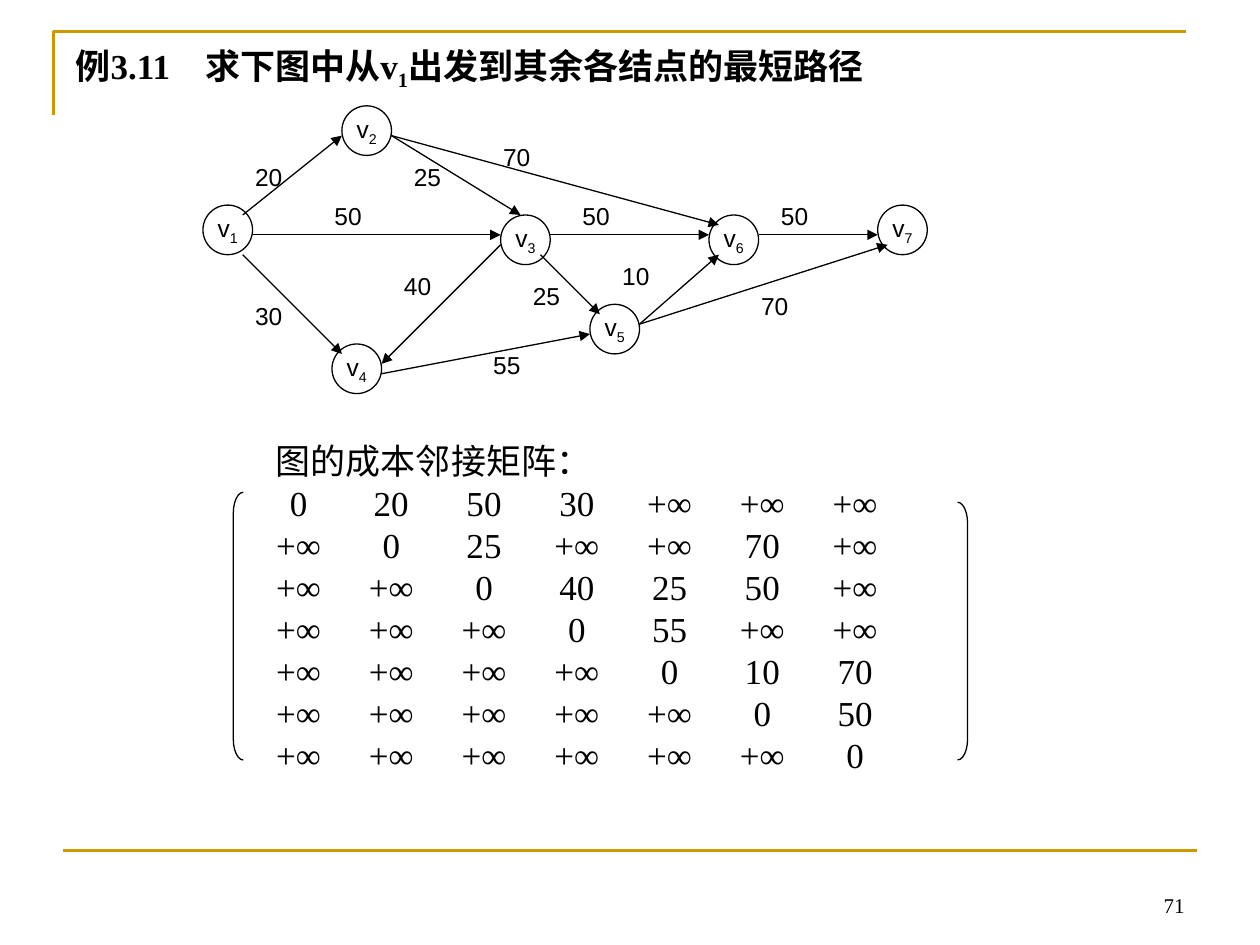
import pptx
import pptx.util
import pptx.dml.color
import pptx.enum.shapes
import pptx.enum.text
import pptx.oxml.ns
from lxml import etree

Pt = pptx.util.Pt
SHAPE = pptx.enum.shapes.MSO_SHAPE
ALIGN = pptx.enum.text.PP_ALIGN
ANCHOR = pptx.enum.text.MSO_ANCHOR
qn = pptx.oxml.ns.qn

COLORS = {"ink": "000000", "rule": "CC9900"}
SERIF, SANS = "Times New Roman", "Arial"

# The graph is laid out on a grid of square cells.
CELL, GRAPH_LEFT, GRAPH_TOP = 5.67, 116, 60.5
NODE_CELLS, LABEL_CELLS = 5, 6

NODES = {"1": (0, 10), "2": (14, 0), "3": (30, 11), "4": (13, 24),
         "5": (39, 20), "6": (51, 11), "7": (68, 10)}

# start, end, weight, top left of the weight's label
EDGES = [
    ((4, 11), (14, 3), "20", (4, 5)),
    ((4, 15), (14, 25), "30", (4, 19)),
    ((5, 13), (30, 13), "50", (12, 9)),
    ((19, 3), (32, 11), "25", (20, 5)),
    ((19, 3), (52, 12), "70", (29, 3)),
    ((30, 14), (18, 26), "40", (19, 16)),
    ((34, 15), (40, 21), "25", (32, 17)),
    ((35, 13), (51, 13), "50", (37, 9)),
    ((18, 27), (39, 23), "55", (28, 24)),
    ((44, 22), (52, 15), "10", (41, 15)),
    ((44, 22), (69, 14), "70", (55, 18)),
    ((56, 13), (68, 13), "50", (57, 9)),
]

INF = "+∞"
MATRIX = [
    ["0", "20", "50", "30", INF, INF, INF],
    [INF, "0", "25", INF, INF, "70", INF],
    [INF, INF, "0", "40", "25", "50", INF],
    [INF, INF, INF, "0", "55", INF, INF],
    [INF, INF, INF, INF, "0", "10", "70"],
    [INF, INF, INF, INF, INF, "0", "50"],
    [INF, INF, INF, INF, INF, INF, "0"],
]


def rgb(name):
    return pptx.dml.color.RGBColor.from_string(COLORS[name])


def grid_point(cell):
    """Slide position in points of a (column, row) of the graph grid."""
    return Pt(GRAPH_LEFT + cell[0] * CELL), Pt(GRAPH_TOP + cell[1] * CELL)


def add_run(p, text, size, font, bold=False, subscript=False):
    r = p.add_run()
    r.text = text
    r.font.size = Pt(size)
    r.font.name = font
    r.font.bold = bold
    r.font.color.rgb = rgb("ink")
    if subscript:
        r.font._element.set("baseline", "-25000")


def set_tabs(p, stops, align):
    tabs = etree.SubElement(p._p.get_or_add_pPr(), qn("a:tabLst"))
    for stop in stops:
        etree.SubElement(tabs, qn("a:tab"), pos=str(Pt(stop)), algn=align)


def style_line(sp, color, width):
    sp.line.color.rgb = rgb(color)
    sp.line.width = Pt(width)


def add_line(shapes, start, end, color, width, arrow=False):
    sp = shapes.add_connector(pptx.enum.shapes.MSO_CONNECTOR.STRAIGHT, *start, *end)
    style_line(sp, color, width)
    if arrow:
        etree.SubElement(sp.line._get_or_add_ln(), qn("a:tailEnd"), type="triangle")
    etree.SubElement(sp._element.spPr, qn("a:effectLst"))


def add_textbox(shapes, left, top, width, height):
    tf = shapes.add_textbox(left, top, width, height).text_frame
    tf.word_wrap = True
    return tf


def add_node(shapes, number, cell):
    size = Pt(NODE_CELLS * CELL)
    sp = shapes.add_shape(SHAPE.OVAL, *grid_point(cell), size, size)
    sp.shadow.inherit = False
    sp.fill.background()
    style_line(sp, "ink", 0.75)
    tf = sp.text_frame
    tf.word_wrap = False
    tf.vertical_anchor = ANCHOR.MIDDLE
    p = tf.paragraphs[0]
    p.alignment = ALIGN.CENTER
    add_run(p, "v", 14, SANS)
    add_run(p, number, 14, SANS, subscript=True)


def add_graph(s):
    shapes = s.shapes.add_group_shape().shapes
    for number, cell in NODES.items():
        add_node(shapes, number, cell)
    for start, end, weight, label in EDGES:
        add_line(shapes, grid_point(start), grid_point(end), "ink", 0.75, arrow=True)
        tf = add_textbox(shapes, *grid_point(label), Pt(LABEL_CELLS * CELL), Pt(24.5))
        add_run(tf.paragraphs[0], weight, 14, SANS)


def add_frame(s):
    builder = s.shapes.build_freeform(Pt(30.5), Pt(66), scale=1.0)
    builder.add_line_segments([(Pt(30.5), Pt(18)), (Pt(678), Pt(18))], close=False)
    sp = builder.convert_to_shape()
    sp.shadow.inherit = False
    sp.fill.background()
    style_line(sp, "rule", 1.5)
    add_line(s.shapes, (Pt(36), Pt(486)), (Pt(684), Pt(486)), "rule", 1.5)


def add_title(s):
    sp = s.shapes.title
    sp.left, sp.top, sp.width, sp.height = Pt(36), Pt(21.6), Pt(648), Pt(38)
    tf = sp.text_frame
    tf.auto_size = pptx.enum.text.MSO_AUTO_SIZE.NONE
    tf.vertical_anchor = ANCHOR.TOP
    p = tf.paragraphs[0]
    p.alignment = ALIGN.LEFT
    set_tabs(p, [74], "l")
    add_run(p, "例3.11\t求下图中从v", 20, SERIF, bold=True)
    add_run(p, "1", 20, SERIF, bold=True, subscript=True)
    add_run(p, "出发到其余各结点的最短路径", 20, SERIF, bold=True)


def add_matrix(s):
    tf = add_textbox(s.shapes, Pt(150.5), Pt(247.7), Pt(408), Pt(199))
    p = tf.paragraphs[0]
    p.line_spacing = Pt(24)
    add_run(p, "图的成本邻接矩阵：", 20, SERIF)
    for row in MATRIX:
        p = tf.add_paragraph()
        p.line_spacing = Pt(24)
        set_tabs(p, [13 + 53 * i for i in range(len(row))], "ctr")
        add_run(p, "".join("\t" + value for value in row), 20, SERIF)


def add_bracket(s, kind, left, top, height):
    sp = s.shapes.add_shape(kind, Pt(left), Pt(top), Pt(5.7), Pt(height))
    sp.adjustments[0] = 2.1
    sp.shadow.inherit = False
    sp.fill.background()
    style_line(sp, "ink", 0.75)


def add_page_number(s):
    tf = add_textbox(s.shapes, Pt(516), Pt(492), Pt(168), Pt(36))
    tf.vertical_anchor = ANCHOR.BOTTOM
    p = tf.paragraphs[0]
    p.alignment = ALIGN.RIGHT
    add_run(p, "71", 12, SERIF)


def main():
    prs = pptx.Presentation()
    prs.slide_width, prs.slide_height = Pt(720), Pt(540)
    s = prs.slides.add_slide(prs.slide_layouts[5])
    add_frame(s)
    add_title(s)
    add_graph(s)
    add_matrix(s)
    add_bracket(s, SHAPE.LEFT_BRACKET, 133.3, 281.3, 153)
    add_bracket(s, SHAPE.RIGHT_BRACKET, 547.2, 287, 147.3)
    add_page_number(s)
    prs.save("out.pptx")


if __name__ == "__main__":
    main()
